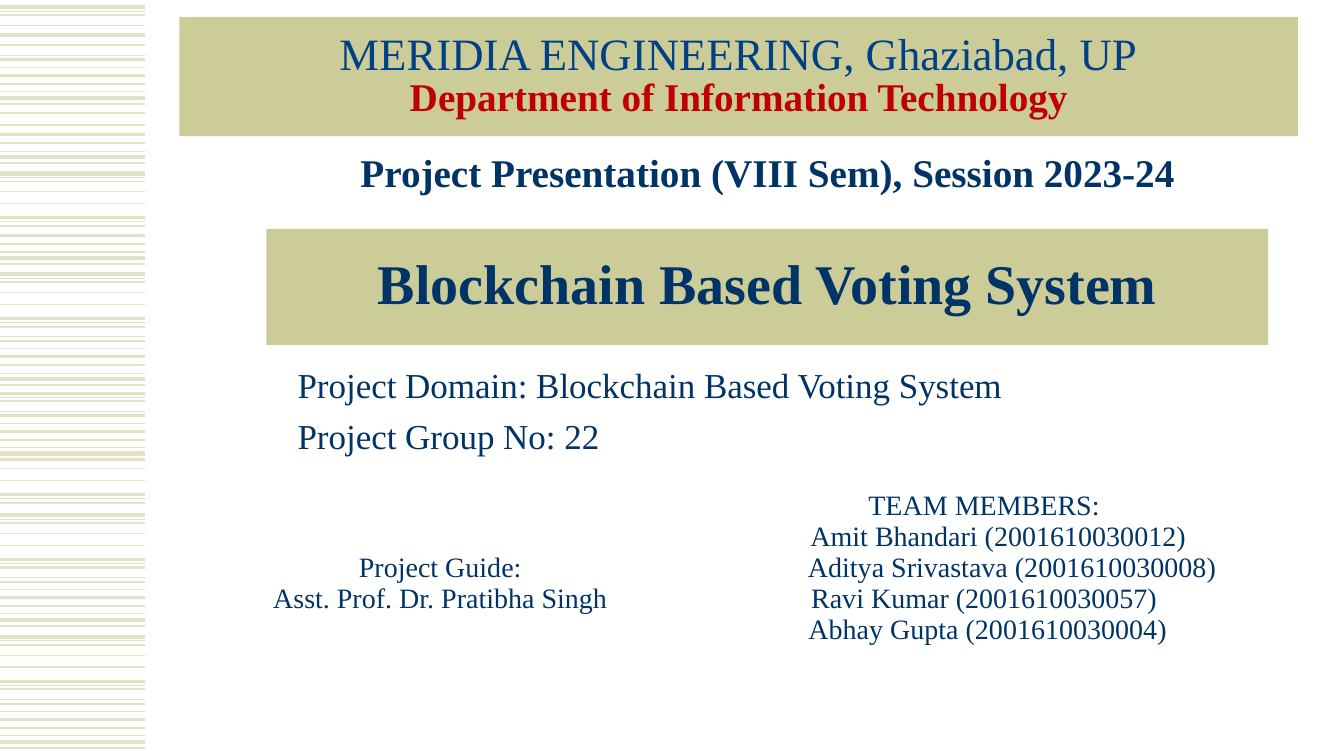
import lxml.etree
import pptx
import pptx.dml.color
import pptx.enum.shapes
import pptx.enum.text
import pptx.oxml.ns
import pptx.util

Cm, Pt = pptx.util.Cm, pptx.util.Pt
RGBColor = pptx.dml.color.RGBColor
Align = pptx.enum.text.PP_ALIGN
Anchor = pptx.enum.text.MSO_ANCHOR

theme = {
    "font": "Times New Roman",
    "navy": RGBColor.from_string("003366"),
    "blue": RGBColor.from_string("004186"),
    "red": RGBColor.from_string("C00000"),
    "khaki": RGBColor.from_string("CCCC99"),
    "stripe": RGBColor.from_string("E3E2C7"),
    "white": RGBColor.from_string("FFFFFF"),
    "title": Pt(40),
    "college": Pt(32),
    "heading": Pt(28),
    "body": Pt(25),
    "table": Pt(20),
}


def write_lines(frame, lines, size, color="navy", bold=False, **paragraph_format):
    """Each line is a text with the formats that differ from the shared ones."""
    for number, (text, changes) in enumerate(lines):
        paragraph = frame.paragraphs[0] if number == 0 else frame.add_paragraph()
        run = paragraph.add_run()
        run.text = text
        font_format = {"name": theme["font"], "size": theme[changes.get("size", size)],
                       "bold": changes.get("bold", bold)}
        for name, value in font_format.items():
            setattr(run.font, name, value)
        run.font.color.rgb = theme[changes.get("color", color)]
        spacing = {"space_before": changes.get("before", Pt(0)), **paragraph_format}
        for name, value in spacing.items():
            setattr(paragraph, name, value)
        for side in ("marL", "marR"):
            if side in changes:
                paragraph._p.get_or_add_pPr().set(side, str(Cm(changes[side])))


def format_box(shape, left, top, width, height, anchor=Anchor.TOP, fill=None):
    place = {"left": left, "top": top, "width": width, "height": height}
    for name, value in place.items():
        setattr(shape, name, Cm(value))
    frame_format = {"word_wrap": True, "vertical_anchor": anchor,
                    "auto_size": pptx.enum.text.MSO_AUTO_SIZE.NONE}
    for side in ("left", "right", "top", "bottom"):
        frame_format["margin_" + side] = Cm(0.13)
    for name, value in frame_format.items():
        setattr(shape.text_frame, name, value)
    if fill:
        shape.fill.solid()
        shape.fill.fore_color.rgb = theme[fill]


presentation = pptx.Presentation()
presentation.slide_width = Cm(33.87)
presentation.slide_height = Cm(19.05)
slide = presentation.slides.add_slide(presentation.slide_layouts[1])

# Stripes on the left: one pattern of (offset in cm, weight in pt), repeated in part
stripe_pattern = [
    (0, 3), (0.1, 0.75), (0.2, 1), (0.46, 1), (0.76, 1), (1.12, 2.25),
    (1.22, 0.75), (1.32, 1.5), (1.57, 0.75), (1.68, 1.5), (1.88, 1),
    (2.08, 2.25), (2.29, 1.5), (2.49, 0.75), (2.64, 3), (2.79, 1.5),
]
# Origin of each repeat in cm, first stripe and end of its slice
stripe_repeats = [
    (0.18, 0, 4), (0.89, 0, 1), (-0.18, 7, 16), (2.39, 3, 5), (1.32, 11, 16),
    (4.37, 0, 8), (3.86, 11, 16), (6.91, 0, 16), (8.79, 5, 16), (11.35, 3, 8),
    (12.98, 0, 16), (16.05, 0, 16),
]
for origin, first, end in stripe_repeats:
    for offset, weight in stripe_pattern[first:end]:
        y = Cm(origin + offset)
        stripe = slide.shapes.add_connector(
            pptx.enum.shapes.MSO_CONNECTOR.STRAIGHT, 0, y, Cm(3.66), y)
        stripe.line.color.rgb = theme["stripe"]
        stripe.line.width = Pt(weight)
        lxml.etree.SubElement(stripe._element.spPr, pptx.oxml.ns.qn("a:effectLst"))

# Project title
title = slide.shapes.title
format_box(title, 6.71, 5.77, 25.25, 2.92, Anchor.MIDDLE, "khaki")
write_lines(title.text_frame, [("Blockchain Based Voting System", {})],
            "title", bold=True, alignment=Align.CENTER, line_spacing=0.85)

# Domain and group
details = slide.placeholders[1]
format_box(details, 7.37, 9.04, 21.18, 2.62)
write_lines(details.text_frame, [
    ("Project Domain: Blockchain Based Voting System", {}),
    ("Project Group No: 22", {"before": Pt(6)}),
], "body", alignment=Align.LEFT)
for paragraph in details.text_frame.paragraphs:
    properties = paragraph._p.get_or_add_pPr()
    for name in ("marL", "indent"):
        properties.set(name, "0")
    lxml.etree.SubElement(properties, pptx.oxml.ns.qn("a:buNone"))

# College and department banner
banner = slide.shapes.add_textbox(0, 0, 0, 0)
format_box(banner, 4.52, 0.43, 28.19, 3, Anchor.MIDDLE, "khaki")
write_lines(banner.text_frame, [
    ("MERIDIA ENGINEERING, Ghaziabad, UP", {}),
    ("Department of Information Technology",
     {"size": "heading", "color": "red", "bold": True}),
], "college", "blue", alignment=Align.CENTER, line_spacing=0.85)

# Session line
session = slide.shapes.add_textbox(0, 0, 0, 0)
format_box(session, 6.07, 3.61, 26.54, 1.45)
write_lines(session.text_frame, [("Project Presentation (VIII Sem), Session 2023-24", {})],
            "heading", bold=True, alignment=Align.CENTER)

# Guide and team table: top margin in cm, then the lines of each cell
people = [
    (1.69, [
        ("Project Guide:", {"marR": 0.18}),
        ("Asst. Prof. Dr. Pratibha Singh", {}),
    ]),
    (0.13, [
        ("TEAM MEMBERS:", {"marR": 0.18}),
        ("Amit Bhandari (2001610030012)", {"marL": 0.71}),
        ("Aditya Srivastava (2001610030008)", {"marL": 1.41}),
        ("Ravi Kumar (2001610030057)", {}),
        ("Abhay Gupta (2001610030004)", {"marL": 0.18}),
    ]),
]
table = slide.shapes.add_table(1, 2, Cm(5.94), Cm(12.22), Cm(27.41), Cm(4.22)).table
table.first_row = table.horz_banding = False
for column, width in zip(table.columns, (10.49, 16.92)):
    column.width = Cm(width)
for cell, (top_margin, lines) in zip(table.rows[0].cells, people):
    cell.fill.solid()
    cell.fill.fore_color.rgb = theme["white"]
    margins = {"margin_left": 0.13, "margin_right": 0.13,
               "margin_top": top_margin, "margin_bottom": 0.13}
    for name, value in margins.items():
        setattr(cell, name, Cm(value))
    write_lines(cell.text_frame, lines, "table", alignment=Align.CENTER)

presentation.save("out.pptx")
